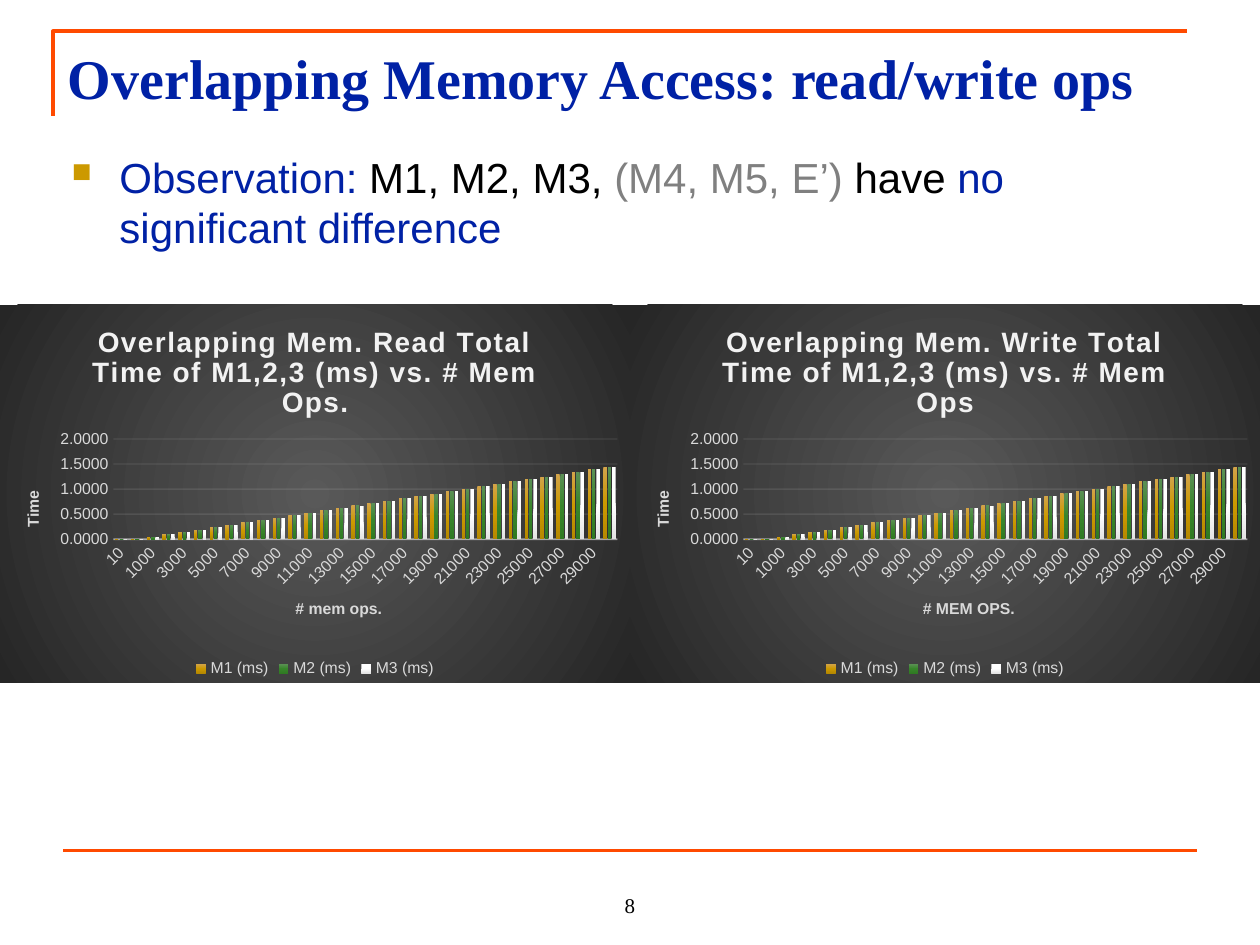
from lxml.etree import SubElement
from pptx import Presentation
from pptx.chart.data import CategoryChartData
from pptx.dml.color import RGBColor
from pptx.enum.chart import XL_CHART_TYPE, XL_LEGEND_POSITION, XL_TICK_MARK
from pptx.enum.shapes import MSO_CONNECTOR
from pptx.enum.text import MSO_ANCHOR, PP_ALIGN
from pptx.oxml import parse_xml
from pptx.oxml.ns import nsdecls, qn
from pptx.util import Inches, Pt

ORANGE = RGBColor(0xFF, 0x4A, 0x00)
BLUE = RGBColor(0x00, 0x21, 0xA5)
BLACK = RGBColor(0x00, 0x00, 0x00)
GRAY = RGBColor(0x80, 0x80, 0x80)
GOLD = RGBColor(0xCC, 0x99, 0x00)
PALE = RGBColor(0xF2, 0xF2, 0xF2)
SILVER = RGBColor(0xD9, 0xD9, 0xD9)
DARK_STOPS = [(0, RGBColor(0x59, 0x59, 0x59)), (100, RGBColor(0x26, 0x26, 0x26))]
SERIES_STOPS = {
    "M1 (ms)": [(0, RGBColor(0xD3, 0xA4, 0x4B)), (50, GOLD), (100, RGBColor(0xB5, 0x88, 0x00))],
    "M2 (ms)": [(0, RGBColor(0x5B, 0x90, 0x55)), (50, RGBColor(0x38, 0x85, 0x2B)),
                (100, RGBColor(0x2F, 0x7A, 0x22))],
    "M3 (ms)": [(0, RGBColor(0xFF, 0xFF, 0xFF)), (50, RGBColor(0xFF, 0xFF, 0xFF)),
                (100, RGBColor(0xE3, 0xE3, 0xE3))],
}
LINEAR = '<a:lin ang="5400000" scaled="0"/>'
CIRCLE = '<a:path path="circle"><a:fillToRect l="50000" t="50000" r="50000" b="50000"/></a:path>'

CATEGORIES = ["10", "100"] + [str(count) for count in range(1000, 30001, 1000)]
READ = [0, 0.01, 0.05, 0.1, 0.15, 0.19, 0.24, 0.29, 0.34, 0.39, 0.43, 0.48, 0.53, 0.58, 0.63, 0.68,
        0.72, 0.77, 0.82, 0.87, 0.91, 0.96, 1.01, 1.06, 1.11, 1.16, 1.2, 1.25, 1.3, 1.35, 1.4, 1.44]
WRITE = READ[:20] + [0.92, 0.96, 1.01, 1.06, 1.11, 1.16, 1.21, 1.25, 1.3, 1.35, 1.4, 1.45]


def with_changes(values, changes):
    return [changes.get(index, value) for index, value in enumerate(values)]


READ_M3 = with_changes(READ, {4: 0.14, 15: 0.67})
WRITE_M3 = with_changes(WRITE, {15: 0.67, 26: 1.2})


def apply_format(target, values):
    for name, value in values.items():
        setattr(target, name, value)


def gradient(stops, direction):
    marks = "".join(f'<a:gs pos="{position * 1000}"><a:srgbClr val="{color}"/></a:gs>'
                    for position, color in stops)
    return parse_xml(f'<a:gradFill {nsdecls("a")} rotWithShape="1">'
                     f'<a:gsLst>{marks}</a:gsLst>{direction}</a:gradFill>')


class SlideBuilder:
    """Holds the deck style and the current slide, and draws each kind of element."""

    heading_font = "Times New Roman"
    body_font = "Arial"
    rule = {"width": Pt(2.25)}

    def __init__(self, presentation):
        self.slide = presentation.slides.add_slide(presentation.slide_layouts[6])

    def style_font(self, font, size, color, **values):
        apply_format(font, {"name": self.body_font, "size": Pt(size), **values})
        font.color.rgb = color

    def style_line(self, line, color, width, opacity=None):
        apply_format(line, {"width": Pt(width)})
        line.color.rgb = color
        if opacity:
            color_element = next(line._ln.iter(qn("a:srgbClr")))
            SubElement(color_element, qn("a:alpha"), val=str(opacity * 1000))

    def corner(self, points):
        builder = self.slide.shapes.build_freeform(*map(Inches, points[0]))
        builder.add_line_segments([tuple(map(Inches, point)) for point in points[1:]], close=False)
        shape = builder.convert_to_shape()
        shape.shadow.inherit = False
        shape.fill.background()
        self.style_line(shape.line, ORANGE, 2.25)

    def rule_line(self, left, right, top):
        connector = self.slide.shapes.add_connector(
            MSO_CONNECTOR.STRAIGHT, Inches(left), Inches(top), Inches(right), Inches(top))
        self.style_line(connector.line, ORANGE, 2.25)
        SubElement(connector._element.spPr, qn("a:effectLst"))

    def text(self, box, runs, size, bullet=None, anchor=MSO_ANCHOR.TOP, align=PP_ALIGN.LEFT, **values):
        frame = self.slide.shapes.add_textbox(*map(Inches, box)).text_frame
        apply_format(frame, {"word_wrap": True, "vertical_anchor": anchor})
        paragraph = frame.paragraphs[0]
        paragraph.alignment = align
        if bullet:
            properties = paragraph._p.get_or_add_pPr()
            properties.set("marL", str(Inches(0.38)))
            properties.set("indent", str(-Inches(0.38)))
            SubElement(SubElement(properties, qn("a:buClr")), qn("a:srgbClr"), val=str(GOLD))
            SubElement(properties, qn("a:buSzPct"), val="65000")
            SubElement(properties, qn("a:buChar"), char=bullet)
        for words, color in runs:
            run = paragraph.add_run()
            run.text = words
            self.style_font(run.font, size, color, **values)

    def title(self, owner, words, size, color, spacing=0, rotation=0):
        frame = owner.text_frame
        frame.text = words
        frame._txBody.bodyPr.set("rot", str(rotation))
        font = frame.paragraphs[0].runs[0].font
        self.style_font(font, size, color, bold=True)
        font._element.set("spc", str(spacing))

    def axis(self, axis, words, rotation, label_rotation):
        apply_format(axis, {"major_tick_mark": XL_TICK_MARK.NONE, "minor_tick_mark": XL_TICK_MARK.NONE})
        self.style_font(axis.tick_labels.font, 9, SILVER)
        axis._element.find(qn("c:txPr")).bodyPr.set("rot", str(label_rotation))
        self.title(axis.axis_title, words, 9, SILVER, rotation=rotation)

    def column_chart(self, left, words, axis_words, columns):
        data = CategoryChartData(number_format="0.0000")
        data.categories = CATEGORIES
        for name, values in zip(SERIES_STOPS, columns):
            data.add_series(name, values)
        chart = self.slide.shapes.add_chart(
            XL_CHART_TYPE.COLUMN_CLUSTERED, Inches(left), Inches(2.42), Inches(5), Inches(3), data).chart
        self.style_font(chart.font, 10, BLACK)
        self.title(chart.chart_title, words, 16, PALE, spacing=100)

        background = parse_xml(f'<c:spPr {nsdecls("c", "a")}><a:ln><a:noFill/></a:ln></c:spPr>')
        background.insert(0, gradient(DARK_STOPS, CIRCLE))
        chart._chartSpace.find(qn("c:chart")).addnext(background)

        plot = chart.plots[0]
        apply_format(plot, {"gap_width": 100, "overlap": -24, "vary_by_categories": False})
        for series, stops in zip(plot.series, SERIES_STOPS.values()):
            series._element.get_or_add_spPr().insert(0, gradient(stops, LINEAR))

        self.axis(chart.category_axis, axis_words, 0, -2700000)
        self.style_line(chart.category_axis.format.line, PALE, 1, 54)
        value_axis = chart.value_axis
        self.axis(value_axis, "Time", -5400000, 0)
        apply_format(value_axis, {"minimum_scale": 0, "maximum_scale": 2, "major_unit": 0.5})
        apply_format(value_axis.tick_labels, {"number_format": "0.0000", "number_format_is_linked": False})
        value_axis.format.line.fill.background()
        self.style_line(value_axis.major_gridlines.format.line, PALE, 0.75, 10)

        chart.has_legend = True
        apply_format(chart.legend, {"position": XL_LEGEND_POSITION.BOTTOM, "include_in_layout": False})
        self.style_font(chart.legend.font, 9, SILVER)
        self.plot_layout(chart, {"x": 0.18, "y": 0.355, "w": 0.8, "h": 0.265})

    def plot_layout(self, chart, fractions):
        plot_area = chart._chartSpace.chart.plotArea
        for old in plot_area.findall(qn("c:layout")):
            plot_area.remove(old)
        values = {"layoutTarget": "inner", "xMode": "edge", "yMode": "edge", **fractions}
        marks = "".join(f'<c:{name} val="{value}"/>' for name, value in values.items())
        plot_area.insert(0, parse_xml(
            f'<c:layout {nsdecls("c")}><c:manualLayout>{marks}</c:manualLayout></c:layout>'))


def main():
    presentation = Presentation()
    apply_format(presentation, {"slide_width": Inches(10), "slide_height": Inches(7.5)})
    builder = SlideBuilder(presentation)
    builder.corner([(0.42, 0.92), (0.42, 0.25), (9.42, 0.25)])
    builder.rule_line(0.5, 9.5, 6.75)
    builder.text((4, 6.83, 2, 0.5), [("8", BLACK)], 12, anchor=MSO_ANCHOR.BOTTOM,
                 align=PP_ALIGN.CENTER, name=builder.heading_font)
    builder.text((0.44, 0.3, 9.72, 0.87), [("Overlapping Memory Access: read/write ops", BLUE)], 32,
                 name=builder.heading_font, bold=True)
    builder.text((0.47, 1.15, 9.06, 0.91), [
        ("Observation: ", BLUE), ("M1, M2, M3, ", BLACK), ("(M4, M5, E’) ", GRAY),
        ("have ", BLACK), ("no significant difference", BLUE)], 24, bullet="■")
    builder.column_chart(0, "Overlapping Mem. Read Total Time of M1,2,3 (ms) vs. # Mem Ops.",
                         "# mem ops.", [READ, READ, READ_M3])
    builder.column_chart(5, "Overlapping Mem. Write Total Time of M1,2,3 (ms) vs. # Mem Ops",
                         "# MEM OPS.", [WRITE, WRITE, WRITE_M3])
    presentation.save("out.pptx")


if __name__ == "__main__":
    main()
